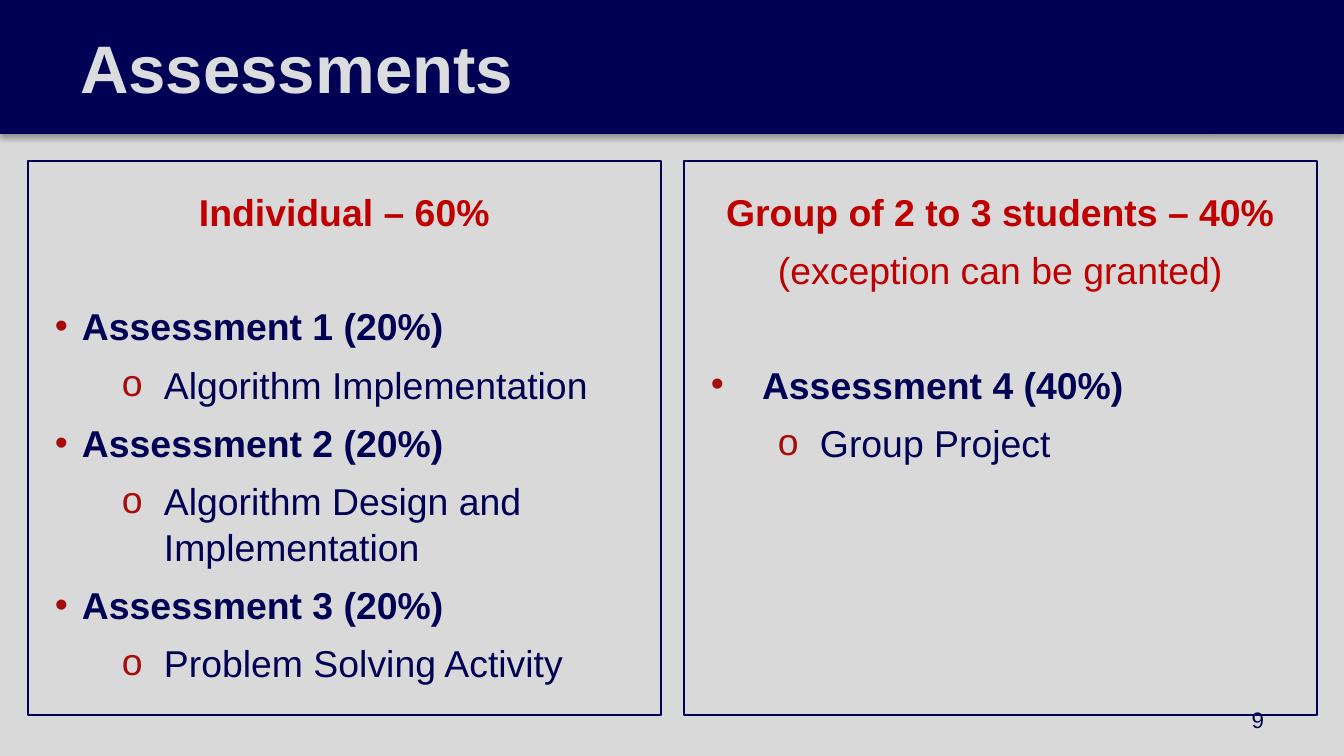
import pptx
import pptx.dml.color
import pptx.enum.shapes
import pptx.enum.text
import pptx.oxml
import pptx.oxml.ns
import pptx.util

COLORS = {
    "navy": "000054",
    "edge": "000052",
    "paper": "D9D9D9",
    "title": "DBDCDD",
    "heading": "C00000",
    "bullet": "A60C0C",
    "shadow": "000000",
}
EMU_PER_PX = 914400 / 134.4
FONT = "Arial"
GAP, SECTION_GAP = 6.4, 36.5
LEVELS = {
    "heading": {"level": 0, "margin": 0, "hang": 0, "char": None, "color": "heading", "bold": True},
    "remark": {"level": 0, "margin": 0, "hang": 0, "char": None, "color": "heading", "bold": False},
    "task": {"level": 0, "margin": 27, "hang": 27, "char": "•", "color": "navy", "bold": True},
    "wide task": {"level": 0, "margin": 51, "hang": 51, "char": "•", "color": "navy", "bold": True},
    "topic": {"level": 1, "margin": 109, "hang": 42, "char": "o", "color": "navy", "bold": False},
}
INDIVIDUAL = [
    ("heading", "Individual – 60%"),
    ("task", "Assessment 1 (20%)"),
    ("topic", "Algorithm Implementation"),
    ("task", "Assessment 2 (20%)"),
    ("topic", "Algorithm Design and Implementation"),
    ("task", "Assessment 3 (20%)"),
    ("topic", "Problem Solving Activity"),
]
GROUP = [
    ("heading", "Group of 2 to 3 students – 40%"),
    ("remark", "(exception can be granted)"),
    ("wide task", "Assessment 4 (40%)"),
    ("topic", "Group Project"),
]


def px(length):
    """Turn pixels into EMU."""
    return pptx.util.Emu(round(length * EMU_PER_PX))


def rgb(name):
    """Look up a named colour."""
    return pptx.dml.color.RGBColor.from_string(COLORS[name])


def add_xml(parent, xml):
    """Append a drawing element given as XML."""
    tag, rest = xml[1:].split(" ", 1)
    parent.append(pptx.oxml.parse_xml(f"<{tag} {pptx.oxml.ns.nsdecls('a')} {rest}"))


class SlideBuilder:
    """Hold the style and the current slide."""

    def __init__(self, presentation):
        """Start a two-content slide on the paper colour."""
        self.slide = presentation.slides.add_slide(presentation.slide_layouts[3])
        self.slide.background.fill.solid()
        self.slide.background.fill.fore_color.rgb = rgb("paper")

    def place(self, shape, left, top, width, height):
        """Set the position and size of a shape."""
        shape.left, shape.top = px(left), px(top)
        shape.width, shape.height = px(width), px(height)

    def frame(self, shape, anchor, side, vertical):
        """Set the margins and anchor of a text frame."""
        frame = shape.text_frame
        frame.auto_size = pptx.enum.text.MSO_AUTO_SIZE.NONE
        frame.word_wrap = True
        frame.vertical_anchor = anchor
        frame.margin_left = frame.margin_right = px(side)
        frame.margin_top = frame.margin_bottom = px(vertical)
        return frame

    def set_text(self, paragraph, text, size, color, bold):
        """Fill and format one paragraph."""
        paragraph.text = text
        for run in paragraph.runs:
            run.font.name = FONT
            run.font.size = pptx.util.Pt(size)
            run.font.bold = bold
            run.font.color.rgb = rgb(color)

    def indent(self, paragraph, margin, hang, char):
        """Set the indents and bullet of a paragraph."""
        properties = paragraph._p.get_or_add_pPr()
        properties.set("marL", str(px(margin)))
        properties.set("indent", str(px(-hang)))
        if char:
            add_xml(properties, f'<a:buClr ><a:srgbClr val="{COLORS["bullet"]}"/></a:buClr>')
            add_xml(properties, f'<a:buFont typeface="{FONT}"/>')
            add_xml(properties, f'<a:buChar char="{char}"/>')
        else:
            add_xml(properties, "<a:buNone />")

    def band(self, width, height):
        """Draw the shadowed band behind the title."""
        band = self.slide.shapes.add_shape(
            pptx.enum.shapes.MSO_SHAPE.RECTANGLE, 0, 0, px(width), px(height)
        )
        band.fill.solid()
        band.fill.fore_color.rgb = rgb("navy")
        band.line.color.rgb = rgb("edge")
        band.line.width = pptx.util.Pt(0.75)
        band.shadow.inherit = False
        effects = band.element.spPr.find(pptx.oxml.ns.qn("a:effectLst"))
        add_xml(
            effects,
            f'<a:outerShdw blurRad="{pptx.util.Pt(3.1)}" dist="{pptx.util.Pt(1.8)}" '
            f'dir="5400000" rotWithShape="0"><a:srgbClr val="{COLORS["shadow"]}">'
            '<a:alpha val="35000"/></a:srgbClr></a:outerShdw>',
        )
        band.element.getparent().insert(2, band.element)

    def title(self, text, width, height):
        """Fill the title placeholder."""
        title = self.slide.shapes.title
        self.place(title, 0, 0, width, height)
        title.fill.solid()
        title.fill.fore_color.rgb = rgb("navy")
        frame = self.frame(title, pptx.enum.text.MSO_ANCHOR.MIDDLE, 54, 13)
        heading = frame.paragraphs[0]
        self.indent(heading, 26, 0, None)
        heading.alignment = pptx.enum.text.PP_ALIGN.LEFT
        self.set_text(heading, text, 36, "title", True)

    def panel(self, index, left, items):
        """Fill one outlined body placeholder."""
        panel = self.slide.placeholders[index]
        self.place(panel, left, 161, 633, 554)
        panel.line.color.rgb = rgb("navy")
        panel.line.width = pptx.util.Pt(1.5)
        frame = self.frame(panel, pptx.enum.text.MSO_ANCHOR.TOP, 27, 27)
        previous = None
        for kind, text in items:
            style = LEVELS[kind]
            item = frame.add_paragraph() if previous else frame.paragraphs[0]
            item.level = style["level"]
            self.indent(item, style["margin"], style["hang"], style["char"])
            item.alignment = (
                pptx.enum.text.PP_ALIGN.LEFT if style["char"] else pptx.enum.text.PP_ALIGN.CENTER
            )
            starts_list = style["char"] and previous in ("heading", "remark")
            gap = SECTION_GAP if starts_list else GAP if previous else 0
            item.space_before = pptx.util.Pt(gap)
            item.line_spacing = 1.03
            self.set_text(item, text, 20, style["color"], style["bold"])
            previous = kind

    def page_number(self, text):
        """Add the page number at the bottom right."""
        number = self.slide.shapes.add_textbox(px(964), px(700), px(313), px(40))
        frame = self.frame(number, pptx.enum.text.MSO_ANCHOR.MIDDLE, 13, 7)
        frame.paragraphs[0].alignment = pptx.enum.text.PP_ALIGN.RIGHT
        self.set_text(frame.paragraphs[0], text, 12, "navy", False)


def main():
    """Build and save the assessments slide."""
    presentation = pptx.Presentation()
    presentation.slide_width, presentation.slide_height = px(1344), px(756)
    assessments = SlideBuilder(presentation)
    assessments.band(1344, 133)
    assessments.title("Assessments", 1214, 133)
    assessments.panel(1, 28, INDIVIDUAL)
    assessments.panel(2, 684, GROUP)
    assessments.page_number("9")
    presentation.save("out.pptx")


if __name__ == "__main__":
    main()
